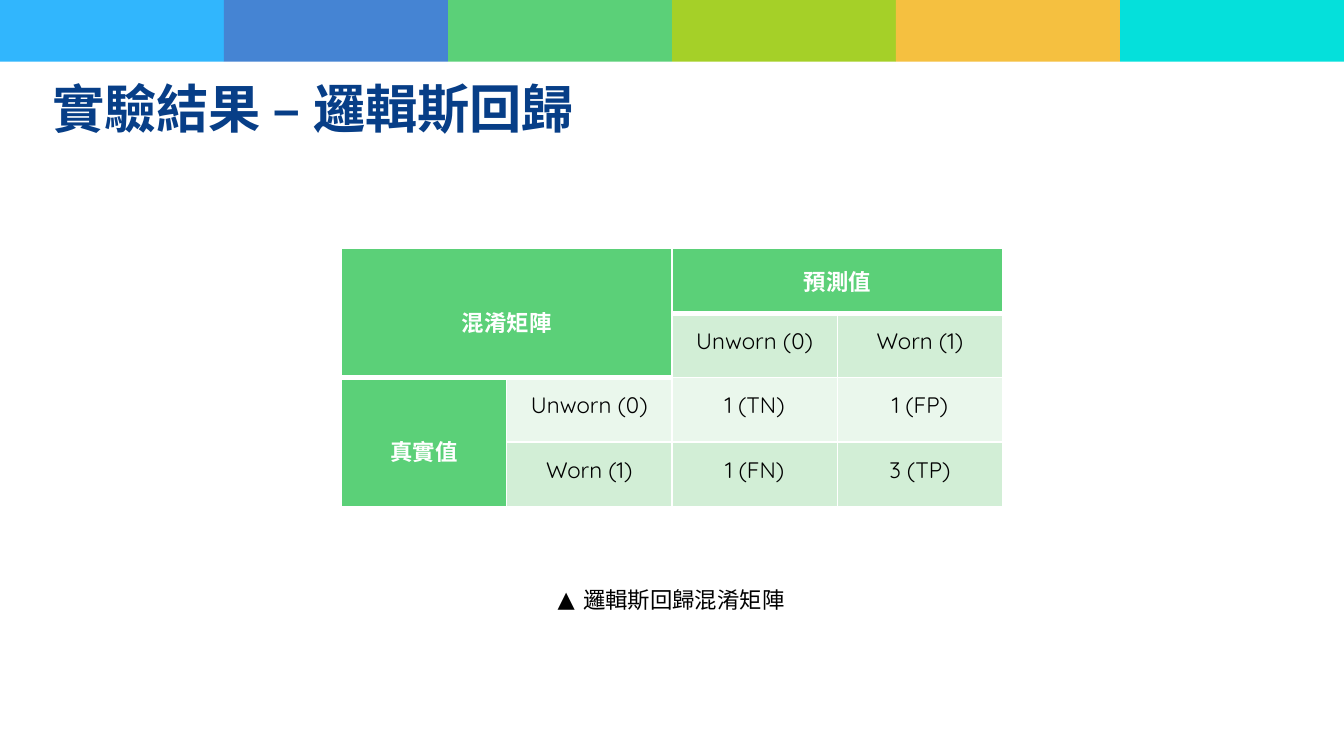
from lxml import etree
from pptx import Presentation
from pptx import util as u
from pptx.dml.color import RGBColor
from pptx.enum import shapes, text
from pptx.oxml import ns

WHITE, BLACK, GREEN, PALE, PALER = "FFFFFF", "000000", "5BD078", "D2EED6", "EAF7EC"
CJK = "Noto Sans CJK SC"


def paint(fill, colour):
    fill.solid()
    fill.fore_color.rgb = RGBColor.from_string(colour)


def style(paragraph, size, colour, latin=CJK, bold=False):
    font = paragraph.font
    font.size, font.bold, font.name = u.Pt(size), bold, latin
    paint(font.fill, colour)
    east_asian = etree.Element(ns.qn("a:ea"), typeface=CJK)
    font._element.find(ns.qn("a:latin")).addnext(east_asian)


# A 16:9 slide
prs = Presentation()
prs.slide_width = u.Inches(10)
prs.slide_height = prs.slide_width * 9 // 16
slide = prs.slides.add_slide(prs.slide_layouts[6])

# Colour band across the top: six equal columns
band = ["31B6FD", "4584D3", GREEN, "A5D028", "F5C040", "05E0DB"]
step = prs.slide_width // len(band)
for i, colour in enumerate(band):
    stripe = slide.shapes.add_shape(
        shapes.MSO_SHAPE.RECTANGLE, i * step, 0, step, u.Inches(0.46))
    stripe.shadow.inherit = False
    paint(stripe.fill, colour)
    stripe.line.fill.background()

# Title
title = slide.shapes.add_textbox(
    u.Inches(0.29), u.Inches(0.52), u.Inches(5.14), u.Inches(0.57)).text_frame
title.word_wrap = True
title.auto_size = text.MSO_AUTO_SIZE.SHAPE_TO_FIT_TEXT
title.text = "實驗結果 – 邏輯斯回歸"
style(title.paragraphs[0], 28, "073E87", bold=True)

# Confusion matrix, centred on the slide
column, row = u.Inches(1.23), u.Inches(0.48)
matrix = slide.shapes.add_table(
    4, 4, (prs.slide_width - 4 * column) // 2, u.Inches(1.85), 4 * column, 4 * row).table
for c in matrix.columns:
    c.width = column
for r in matrix.rows:
    r.height = row

labels = [
    ["混淆矩陣", "", "預測值", ""],
    ["", "", "Unworn (0)", "Worn (1)"],
    ["真實值", "Unworn (0)", "1 (TN)", "1 (FP)"],
    ["", "Worn (1)", "1 (FN)", "3 (TP)"],
]
headers = {(0, 0), (0, 1), (1, 0), (1, 1), (0, 2), (0, 3), (2, 0), (3, 0)}
thick_below = {(0, 0), (0, 1), (1, 0), (1, 1), (0, 2), (0, 3)}
thick_above = {(2, 0), (2, 1), (1, 2), (1, 3)}

for r, line in enumerate(labels):
    for c, label in enumerate(line):
        cell = matrix.cell(r, c)
        header = (r, c) in headers
        paint(cell.fill, GREEN if header else PALER if r == 2 else PALE)
        cell.margin_left = cell.margin_right = u.Inches(0.07)
        cell.margin_top = cell.margin_bottom = 0
        if label:
            cell.text = label
            entry = cell.text_frame.paragraphs[0]
            entry.alignment, entry.line_spacing = text.PP_ALIGN.CENTER, 1.5
            style(entry, 12, WHITE if header else BLACK, "Quicksand", header)

        # White cell borders, heavier under the headers
        widths = {"lnL": 1, "lnR": 1,
                  "lnT": 3 if (r, c) in thick_above else 1,
                  "lnB": 3 if (r, c) in thick_below else 1}
        properties = cell._tc.get_or_add_tcPr()
        for i, (side, width) in enumerate(widths.items()):
            border = etree.Element(ns.qn(f"a:{side}"), w=str(u.Pt(width)))
            solid = etree.SubElement(border, ns.qn("a:solidFill"))
            etree.SubElement(solid, ns.qn("a:srgbClr"), val=WHITE)
            properties.insert(i, border)

for first, last in [((0, 0), (1, 1)), ((0, 2), (0, 3)), ((2, 0), (3, 0))]:
    matrix.cell(*first).merge(matrix.cell(*last))
for corner in [(0, 0), (2, 0)]:
    matrix.cell(*corner).vertical_anchor = text.MSO_ANCHOR.MIDDLE

# Caption with a triangle bullet
caption = slide.shapes.add_textbox(
    u.Inches(4.05), u.Inches(4.31), u.Inches(1.91), u.Inches(0.3)).text_frame
caption.word_wrap = False
caption.auto_size = text.MSO_AUTO_SIZE.SHAPE_TO_FIT_TEXT
caption.text = "邏輯斯回歸混淆矩陣"
note = caption.paragraphs[0]
indent = u.Inches(0.19)
bullet = note._p.get_or_add_pPr()
bullet.set("marL", str(indent))
bullet.set("indent", str(-indent))
etree.SubElement(bullet, ns.qn("a:buFont"), typeface="Quicksand")
etree.SubElement(bullet, ns.qn("a:buChar"), char="▲")
style(note, 12, BLACK)

prs.save("out.pptx")
